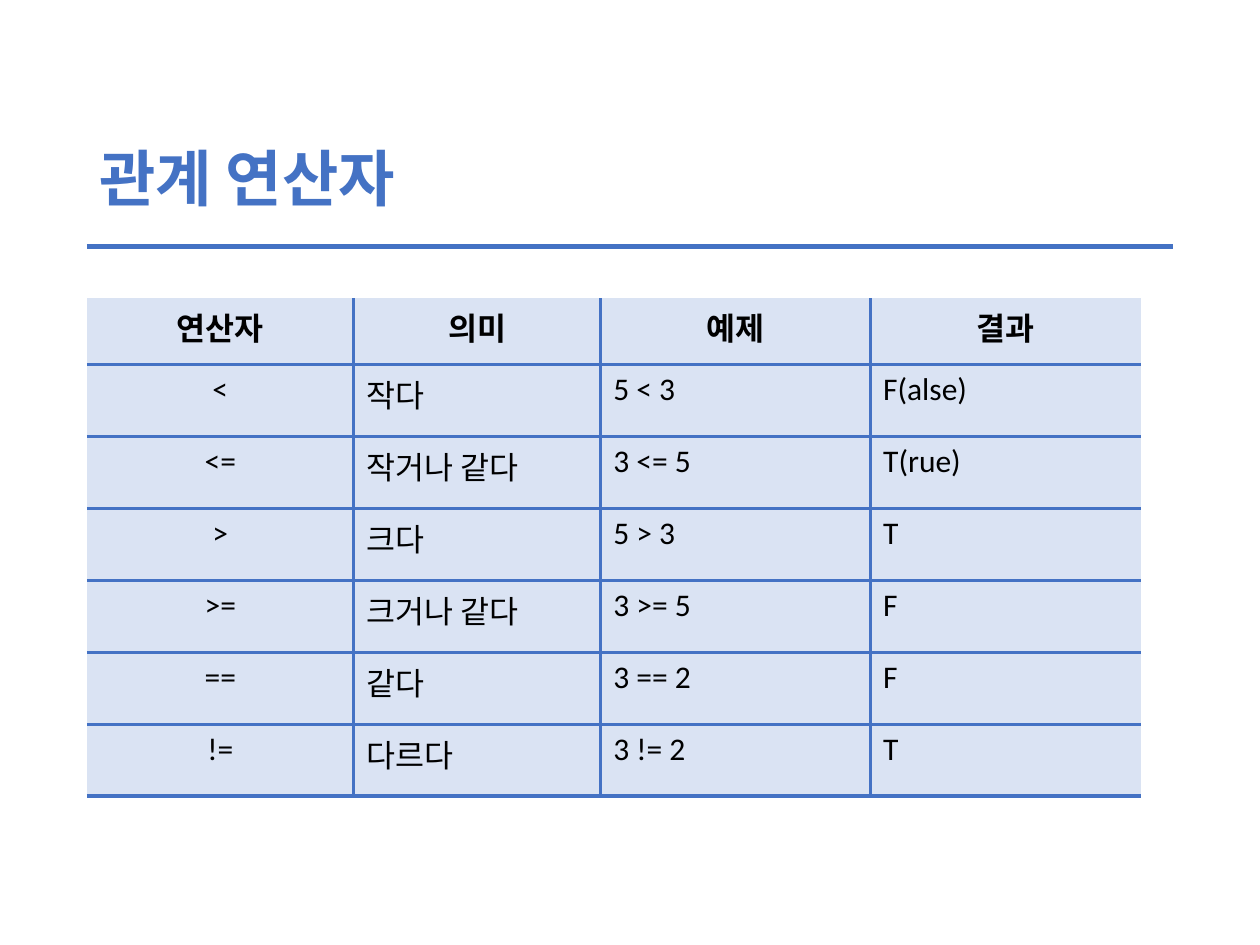
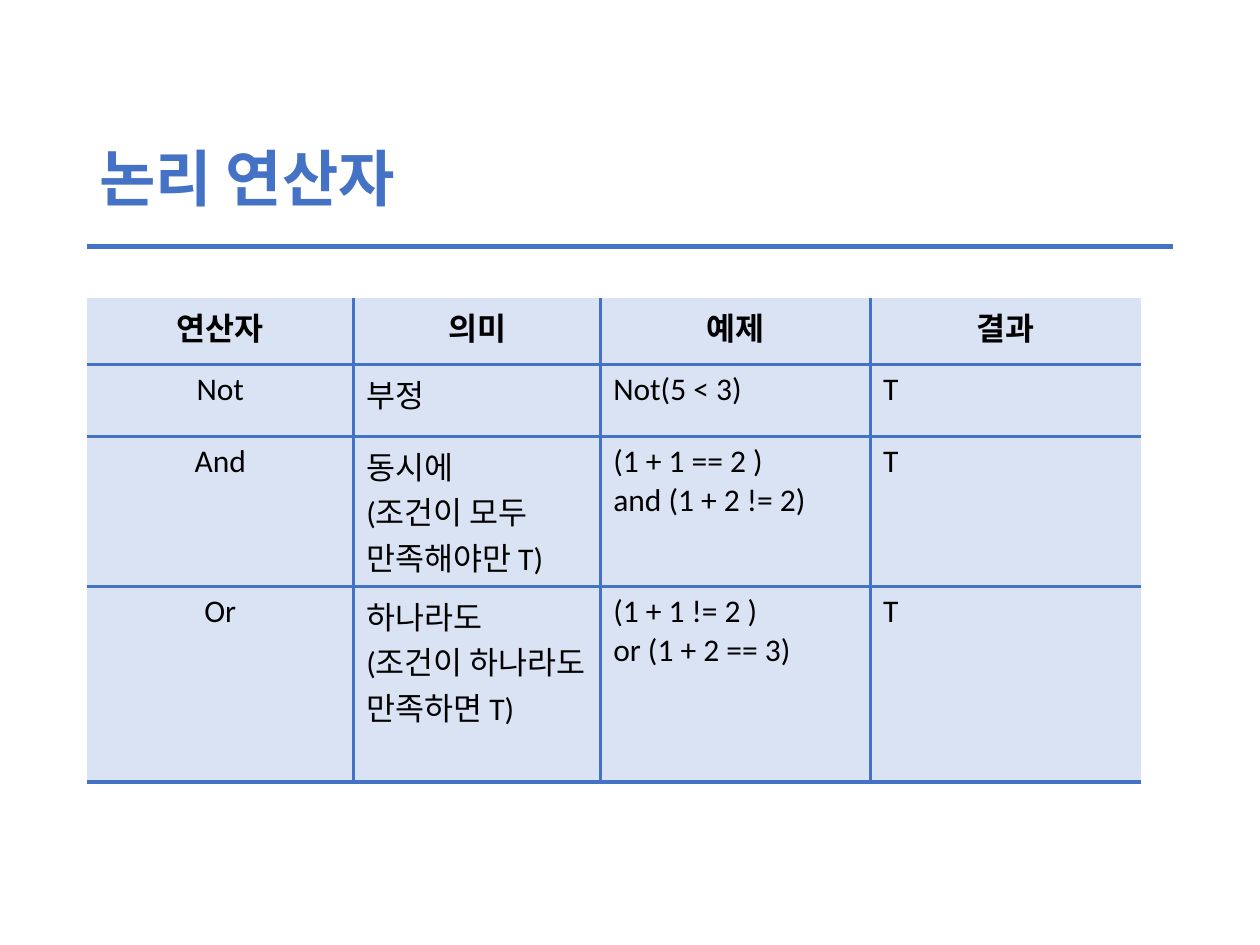
import pptx
import pptx.dml.color
import pptx.enum.shapes
import pptx.enum.text
import pptx.oxml.ns
import pptx.util
from lxml import etree
from pptx.util import Cm

BLUE = pptx.dml.color.RGBColor(0x44, 0x72, 0xC4)
PALE_BLUE = pptx.dml.color.RGBColor(0xDA, 0xE3, 0xF3)
BLACK = pptx.dml.color.RGBColor(0, 0, 0)
FONT = "Calibri"

LEFT = Cm(1.75)
CONTENT_WIDTH = Cm(21.9)
RULE_TOP = Cm(4.97)
TABLE_TOP = Cm(6.01)
COLUMN_WIDTHS = [Cm(5.38), Cm(4.98), Cm(5.44), Cm(5.45)]
HEADER_HEIGHT = Cm(1.34)
ROW_HEIGHT = Cm(1.45)
THREE_LINE_HEIGHT = Cm(3.02)
FOUR_LINE_HEIGHT = Cm(3.94)
GRID_WIDTH = pptx.util.Pt(2.25)

HEADER = ["연산자", "의미", "예제", "결과"]
RELATIONAL = [
    ["<", "작다", "5 < 3", "F(alse)"],
    ["<=", "작거나 같다", "3 <= 5", "T(rue)"],
    [">", "크다", "5 > 3", "T"],
    [">=", "크거나 같다", "3 >= 5", "F"],
    ["==", "같다", "3 == 2", "F"],
    ["!=", "다르다", "3 != 2", "T"],
]
# \n starts a paragraph, \v breaks a line within one
LOGICAL = [
    ["Not", "부정", "Not(5 < 3)", "T"],
    ["And", "동시에\n(조건이 모두 만족해야만 T)", "(1 + 1 == 2 )\vand (1 + 2 != 2)", "T"],
    ["Or", "하나라도\v(조건이 하나라도 만족하면 T)", "(1 + 1 != 2 )\vor (1 + 2 == 3)", "T"],
]


def format_text(frame, size, color, bold, align):
    for para in frame.paragraphs:
        para.alignment = align
        for span in para.runs:
            span.font.name = FONT
            span.font.size = pptx.util.Pt(size)
            span.font.bold = bold
            span.font.color.rgb = color


def add_title(page, text):
    box = page.shapes.add_textbox(LEFT, Cm(1.83), CONTENT_WIDTH, Cm(3.68))
    frame = box.text_frame
    frame.word_wrap = True
    frame.vertical_anchor = pptx.enum.text.MSO_ANCHOR.MIDDLE
    frame.text = text
    format_text(frame, 35, BLUE, True, pptx.enum.text.PP_ALIGN.LEFT)
    frame.paragraphs[0].line_spacing = 0.9


def add_title_rule(page):
    rule = page.shapes.add_connector(
        pptx.enum.shapes.MSO_CONNECTOR.STRAIGHT,
        LEFT, RULE_TOP, LEFT + CONTENT_WIDTH, RULE_TOP)
    rule.line.color.rgb = BLUE
    rule.line.width = pptx.util.Pt(3)
    etree.SubElement(rule._element.spPr, pptx.oxml.ns.qn("a:effectLst"))


def set_borders(cell, shown):
    """Draw the sides named in shown (L, R, T, B) and clear the others."""
    qn = pptx.oxml.ns.qn
    properties = cell._tc.get_or_add_tcPr()
    for side in "LRTB":
        line = etree.SubElement(properties, qn("a:ln" + side), w=str(GRID_WIDTH))
        if side in shown:
            fill = etree.SubElement(line, qn("a:solidFill"))
            etree.SubElement(fill, qn("a:srgbClr"), val=str(BLUE))
        else:
            etree.SubElement(line, qn("a:noFill"))


def add_operator_table(page, operators, operator_heights):
    rows = [HEADER] + operators
    heights = [HEADER_HEIGHT] + operator_heights
    table = page.shapes.add_table(
        len(rows), len(HEADER), LEFT, TABLE_TOP,
        sum(COLUMN_WIDTHS), sum(heights)).table
    table.first_row = table.horz_banding = False
    for column, width in zip(table.columns, COLUMN_WIDTHS):
        column.width = width
    for row, height in zip(table.rows, heights):
        row.height = height

    last_column = len(HEADER) - 1
    align = pptx.enum.text.PP_ALIGN
    for row_index, texts in enumerate(rows):
        is_header = row_index == 0
        for column_index, text in enumerate(texts):
            cell = table.cell(row_index, column_index)
            sides = "B"
            if not is_header:
                sides += "T"
            if column_index > 0:
                sides += "L"
            if column_index < last_column:
                sides += "R"
            set_borders(cell, sides)
            cell.fill.solid()
            cell.fill.fore_color.rgb = PALE_BLUE
            cell.text_frame.text = text
            centred = is_header or column_index == 0
            format_text(cell.text_frame, 18, BLACK, is_header,
                        align.CENTER if centred else align.LEFT)


def add_operator_page(deck, title, operators, operator_heights):
    page = deck.slides.add_slide(deck.slide_layouts[6])
    add_title_rule(page)
    add_title(page, title)
    add_operator_table(page, operators, operator_heights)


def main():
    deck = pptx.Presentation()
    deck.slide_width = Cm(25.4)
    deck.slide_height = Cm(19.05)
    add_operator_page(deck, "관계 연산자", RELATIONAL,
                      [ROW_HEIGHT] * len(RELATIONAL))
    add_operator_page(deck, "논리 연산자", LOGICAL,
                      [ROW_HEIGHT, THREE_LINE_HEIGHT, FOUR_LINE_HEIGHT])
    deck.save("out.pptx")


if __name__ == "__main__":
    main()
